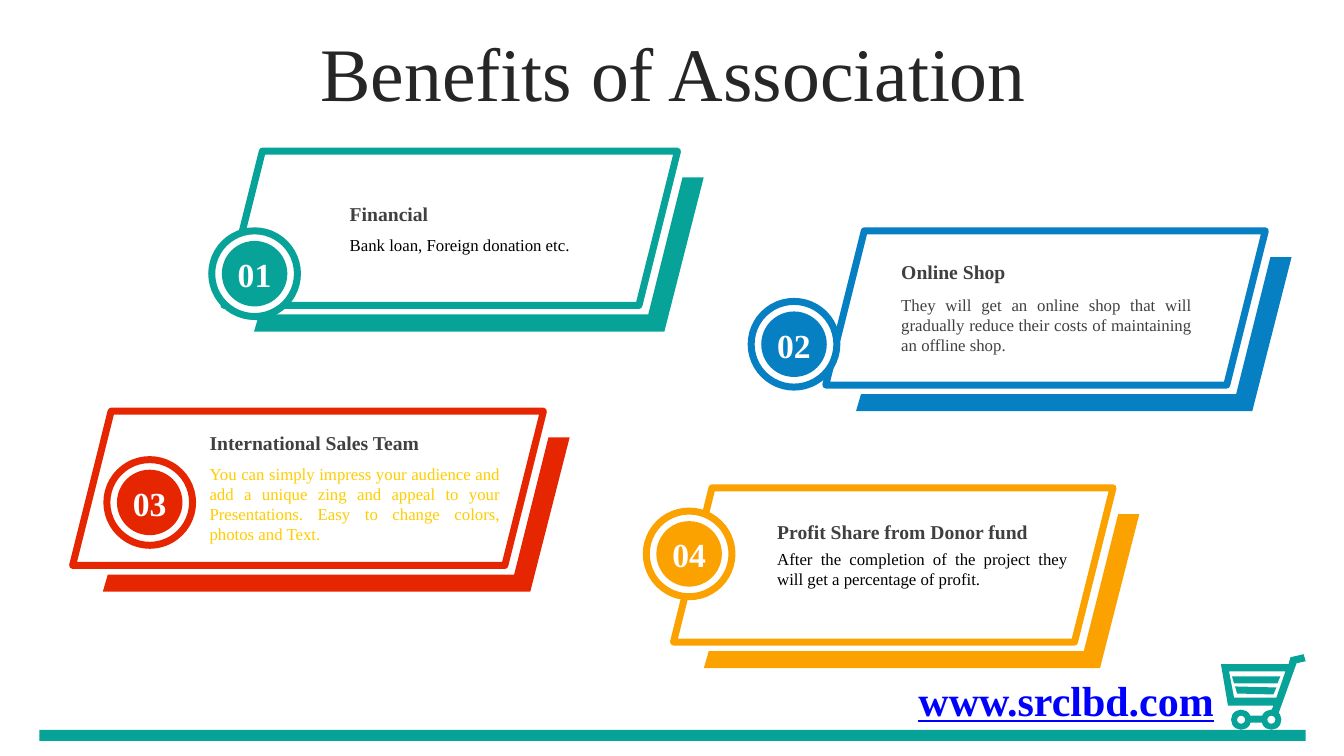
import pptx
import pptx.dml.color
import pptx.enum.shapes
import pptx.enum.text
import pptx.oxml.ns
import pptx.util
from dataclasses import dataclass

Inches = pptx.util.Inches
SHAPE = pptx.enum.shapes.MSO_SHAPE
ALIGN = pptx.enum.text.PP_ALIGN
ANCHOR = pptx.enum.text.MSO_ANCHOR


@dataclass(frozen=True)
class Theme:
    font: str = "Times New Roman"
    teal: str = "07A398"
    blue: str = "0680C3"
    red: str = "E62601"
    orange: str = "FBA200"
    yellow: str = "FFCC00"
    white: str = "FFFFFF"
    black: str = "000000"
    title: str = "262626"
    grey: str = "404040"
    link: str = "0000FF"
    title_size: int = 54
    link_size: int = 30
    number_size: int = 24
    heading_size: int = 14
    body_size: int = 12
    outline: int = 5


THEME = Theme()
TITLE = "Benefits of Association"
WEBSITE = "www.srclbd.com"

# card: left, top, width; badge: left, top; text: left, heading top, body top, body height
CARDS = [
    dict(number="01", color=THEME.teal, card=(2.22, 1.5, 4.5), badge=(2.1, 2.29),
         text=(3.37, 1.95, 2.28, 0.3), heading="Financial",
         body="Bank loan, Foreign donation etc.", body_color=THEME.black),
    dict(number="03", color=THEME.red, card=(0.72, 4.08, 4.67), badge=(1.06, 4.56),
         text=(1.98, 4.22, 4.55, 0.91), heading="International Sales Team",
         body="You can simply impress your audience and add a unique zing and appeal "
              "to your Presentations. Easy to change colors, photos and Text.",
         body_color=THEME.yellow),
    dict(number="02", color=THEME.blue, card=(8.19, 2.29, 4.36), badge=(7.45, 2.99),
         text=(8.84, 2.53, 2.87, 0.71), heading="Online Shop",
         body="They will get an online shop that will gradually reduce their costs "
              "of maintaining an offline shop.", body_color=THEME.grey),
    dict(number="04", color=THEME.orange, card=(6.68, 4.84, 4.36), badge=(6.41, 5.07),
         text=(7.61, 5.1, 5.39, 0.5), heading="Profit Share from Donor fund",
         body="After the completion of the project they will get a percentage of profit.",
         body_color=THEME.black),
]
CARD_HEIGHT = 1.53
TEXT_WIDTH = 3.08
BADGE_SIZE, DISC_SIZE = 0.85, 0.65

CART_CONTOURS = [
    # frame with handle
    [(12.93, 6.49), (12.8, 6.52), (12.78, 6.59), (12.11, 6.59), (12.18, 7), (12.63, 7),
     (12.61, 7.05), (12.68, 7.08), (12.86, 6.58), (12.95, 6.56)],
    # basket opening, then its two slats
    [(12.75, 6.66), (12.66, 6.92), (12.24, 6.92), (12.19, 6.66)],
    [(12.22, 6.71), (12.24, 6.78), (12.67, 6.78), (12.7, 6.71)],
    [(12.25, 6.81), (12.27, 6.88), (12.63, 6.89), (12.66, 6.82)],
    # axle
    [(12.38, 7.1), (12.53, 7.1), (12.53, 7.17), (12.38, 7.17)],
]
WHEEL_LEFTS, WHEEL_TOP, WHEEL_SIZE = (12.21, 12.51), 7.04, 0.2
WHEEL_RIM = 0.3


def rgb(color):
    return pptx.dml.color.RGBColor.from_string(color)


def paint(shape, fill, line=None):
    shape.shadow.inherit = False
    shape.fill.solid()
    shape.fill.fore_color.rgb = rgb(fill)
    if line:
        shape.line.color.rgb = rgb(line)
        shape.line.width = pptx.util.Pt(THEME.outline)
    else:
        shape.line.fill.background()
    return shape


def add_preset(slide, preset, box, fill, line=None):
    return paint(slide.shapes.add_shape(preset, *map(Inches, box)), fill, line)


def add_outline(slide, contours, fill):
    """Add one freeform made of closed contours given in inches."""
    contours = [[(Inches(x), Inches(y)) for x, y in contour] for contour in contours]
    builder = slide.shapes.build_freeform(*contours[0][0], scale=1.0)
    for index, contour in enumerate(contours):
        if index:
            builder.move_to(*contour[0])
        builder.add_line_segments(contour[1:], close=True)
    return paint(builder.convert_to_shape(), fill)


def add_text(slide, box, text, size, color, align=ALIGN.LEFT, anchor=ANCHOR.TOP, bold=False):
    frame = slide.shapes.add_textbox(*map(Inches, box)).text_frame
    frame.word_wrap = True
    frame.vertical_anchor = anchor
    paragraph = frame.paragraphs[0]
    paragraph.text = text
    paragraph.alignment = align
    paragraph.font.name = THEME.font
    paragraph.font.size = pptx.util.Pt(size)
    paragraph.font.bold = bold
    paragraph.font.color.rgb = rgb(color)
    return paragraph


def add_card(slide, number, color, card, badge, text, heading, body, body_color):
    left, top, width = card
    right = left + width
    add_preset(slide, SHAPE.PARALLELOGRAM, (left, top, width, CARD_HEIGHT), THEME.white, color)
    edge = [(right + 0.05, top + 0.26), (right + 0.26, top + 0.26),
            (right - 0.13, top + 1.79), (left + 0.3, top + 1.79),
            (left + 0.35, top + 1.62), (right - 0.29, top + 1.62)]
    add_outline(slide, [edge], color)

    text_left, heading_top, body_top, body_height = text
    add_text(slide, (text_left, body_top, TEXT_WIDTH, body_height), body,
             THEME.body_size, body_color, ALIGN.JUSTIFY)
    add_text(slide, (text_left, heading_top, TEXT_WIDTH, 0.34), heading,
             THEME.heading_size, THEME.grey, anchor=ANCHOR.MIDDLE, bold=True)

    x, y = badge
    inset = (BADGE_SIZE - DISC_SIZE) / 2
    add_preset(slide, SHAPE.OVAL, (x, y, BADGE_SIZE, BADGE_SIZE), THEME.white, color)
    add_preset(slide, SHAPE.OVAL, (x + inset, y + inset, DISC_SIZE, DISC_SIZE), color)
    add_text(slide, (x + 0.11, y + 0.18, 0.63, 0.5), number,
             THEME.number_size, THEME.white, ALIGN.CENTER, bold=True)


def add_cart(slide):
    add_outline(slide, CART_CONTOURS, THEME.teal)
    for left in WHEEL_LEFTS:
        wheel = add_preset(slide, SHAPE.DONUT, (left, WHEEL_TOP, WHEEL_SIZE, WHEEL_SIZE),
                           THEME.teal)
        wheel.adjustments[0] = WHEEL_RIM


def main():
    presentation = pptx.Presentation()
    presentation.slide_width = Inches(13.33)
    presentation.slide_height = Inches(7.5)
    slide = presentation.slides.add_slide(presentation.slide_layouts[6])

    add_cart(slide)
    add_preset(slide, SHAPE.RECTANGLE, (0.39, 7.24, 12.56, 0.11), THEME.teal)
    title = add_text(slide, (0.35, 0.37, 12.66, 0.79), TITLE, THEME.title_size,
                     THEME.title, ALIGN.CENTER, ANCHOR.MIDDLE)
    title.line_spacing = 0.9
    for card in CARDS:
        add_card(slide, **card)
    website = add_text(slide, (9.01, 6.64, 3.13, 0.61), WEBSITE, THEME.link_size,
                       THEME.link, ALIGN.RIGHT, bold=True)
    website.font.underline = True
    presentation.save("out.pptx")


if __name__ == "__main__":
    main()
